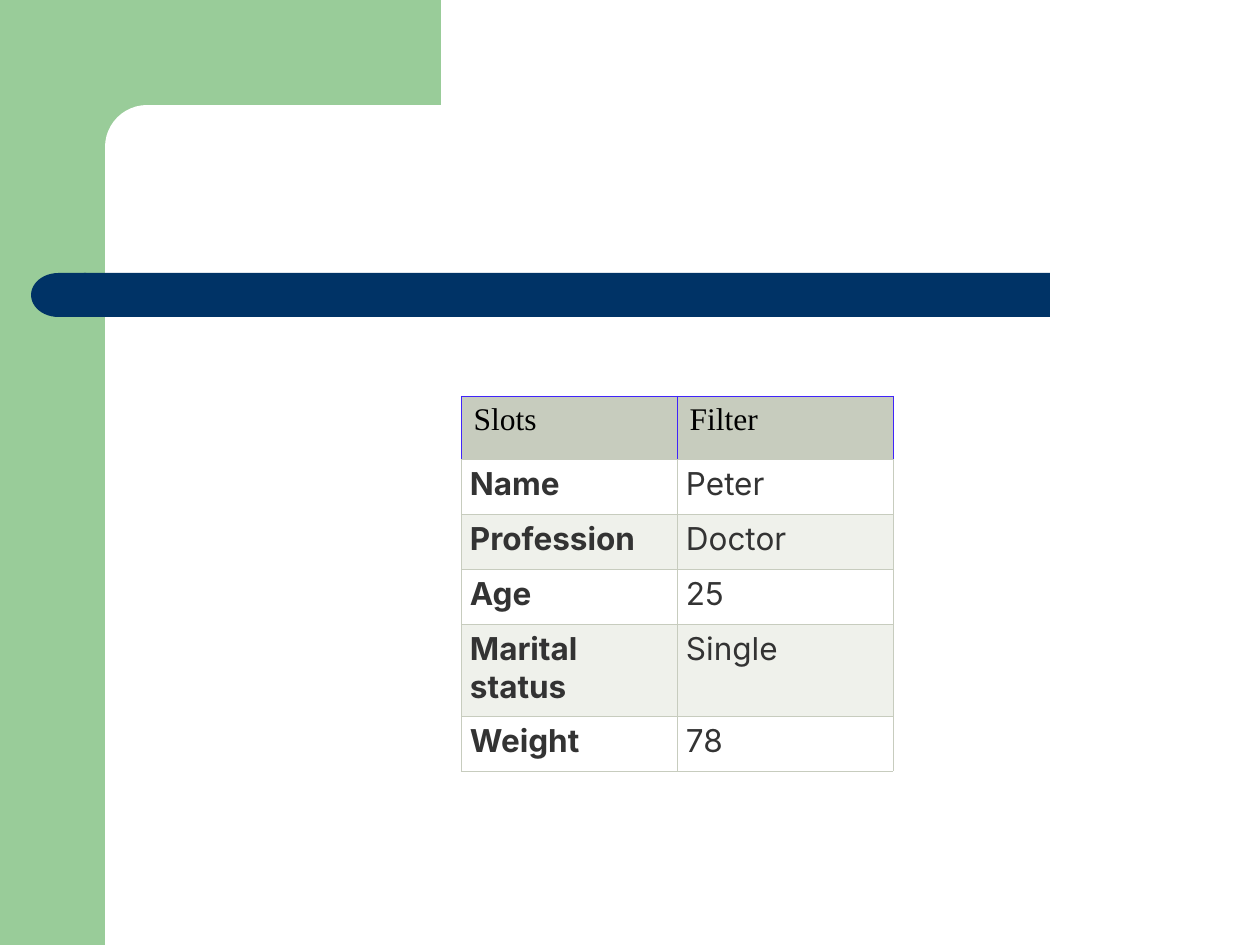
import pptx
import pptx.dml.color
import pptx.enum.shapes
import pptx.enum.text
import pptx.oxml.ns
import pptx.util
from lxml import etree

PX = 914400 // 126
SHAPES = pptx.enum.shapes.MSO_SHAPE
THEME = {
    "green": "99CC99", "navy": "003366", "white": "FFFFFF",
    "header": "C7CCBE", "band": "EFF1EB", "header_edge": "4024F9",
    "header_text": "000000", "body_text": "333333",
    "header_font": "Times New Roman", "body_font": "Inter",
    "text_size": 18, "edge_width": 0.28,
}


def paint(fill, color):
    fill.solid()
    fill.fore_color.rgb = pptx.dml.color.RGBColor.from_string(THEME[color])


def add_border(cell, side, color):
    """Draw one cell edge; side is L, R, T or B. Call before filling the cell."""
    width = str(pptx.util.Pt(THEME["edge_width"]))
    properties = cell._tc.get_or_add_tcPr()
    edge = etree.SubElement(properties, pptx.oxml.ns.qn(f"a:ln{side}"), w=width)
    solid = etree.SubElement(edge, pptx.oxml.ns.qn("a:solidFill"))
    etree.SubElement(solid, pptx.oxml.ns.qn("a:srgbClr"), val=THEME[color])


deck = pptx.Presentation()
deck.slide_width, deck.slide_height = 1260 * PX, 945 * PX
slide = deck.slides.add_slide(deck.slide_layouts[6])

# Green corner frame with its rounded inner edge, and the navy bar with a round end
decoration = [
    (SHAPES.RECTANGLE, (0, 0, 105, 945), "green"),
    (SHAPES.RECTANGLE, (94, 0, 347, 147), "green"),
    (SHAPES.ROUNDED_RECTANGLE, (105, 105, 703, 84), "white"),
    (SHAPES.RECTANGLE, (84, 273, 966, 44), "navy"),
    (SHAPES.FLOWCHART_DELAY, (31, 273, 55, 44), "navy"),
]
for preset, box, color in decoration:
    part = slide.shapes.add_shape(preset, *(length * PX for length in box))
    part.shadow.inherit = False
    paint(part.fill, color)
    part.line.fill.background()
    if preset == SHAPES.ROUNDED_RECTANGLE:
        part.adjustments[0] = 0.5
    if preset == SHAPES.FLOWCHART_DELAY:
        part.rotation = 180

# Frame of slots and their values
slots = [
    ("Slots", "Filter"),
    ("Name", "Peter"),
    ("Profession", "Doctor"),
    ("Age", "25"),
    ("Marital status", "Single"),
    ("Weight", "78"),
]
row_heights = [63, 55, 55, 55, 92, 55]
column_width = 216
slot_table = slide.shapes.add_table(
    len(slots), 2, 461 * PX, 396 * PX, 2 * column_width * PX, sum(row_heights) * PX
).table
for column in slot_table.columns:
    column.width = column_width * PX

for row, (entries, height) in enumerate(zip(slots, row_heights)):
    slot_table.rows[row].height = height * PX
    is_header = row == 0
    for col, entry in enumerate(entries):
        cell = slot_table.cell(row, col)
        for side in "LRTB":
            blue = is_header and side != "B"
            add_border(cell, side, "header_edge" if blue else "header")
        paint(cell.fill, "header" if is_header else "white" if row % 2 else "band")

        paragraph = cell.text_frame.paragraphs[0]
        if not is_header:
            cell.margin_left = cell.margin_right = 9 * PX
            cell.margin_top = cell.margin_bottom = 6 * PX
            paragraph.alignment = pptx.enum.text.PP_ALIGN.JUSTIFY
        run = paragraph.add_run()
        run.text = entry
        run.font.size = pptx.util.Pt(THEME["text_size"])
        run.font.name = THEME["header_font" if is_header else "body_font"]
        run.font.bold = not is_header and col == 0
        paint(run.font.fill, "header_text" if is_header else "body_text")

deck.save("out.pptx")
